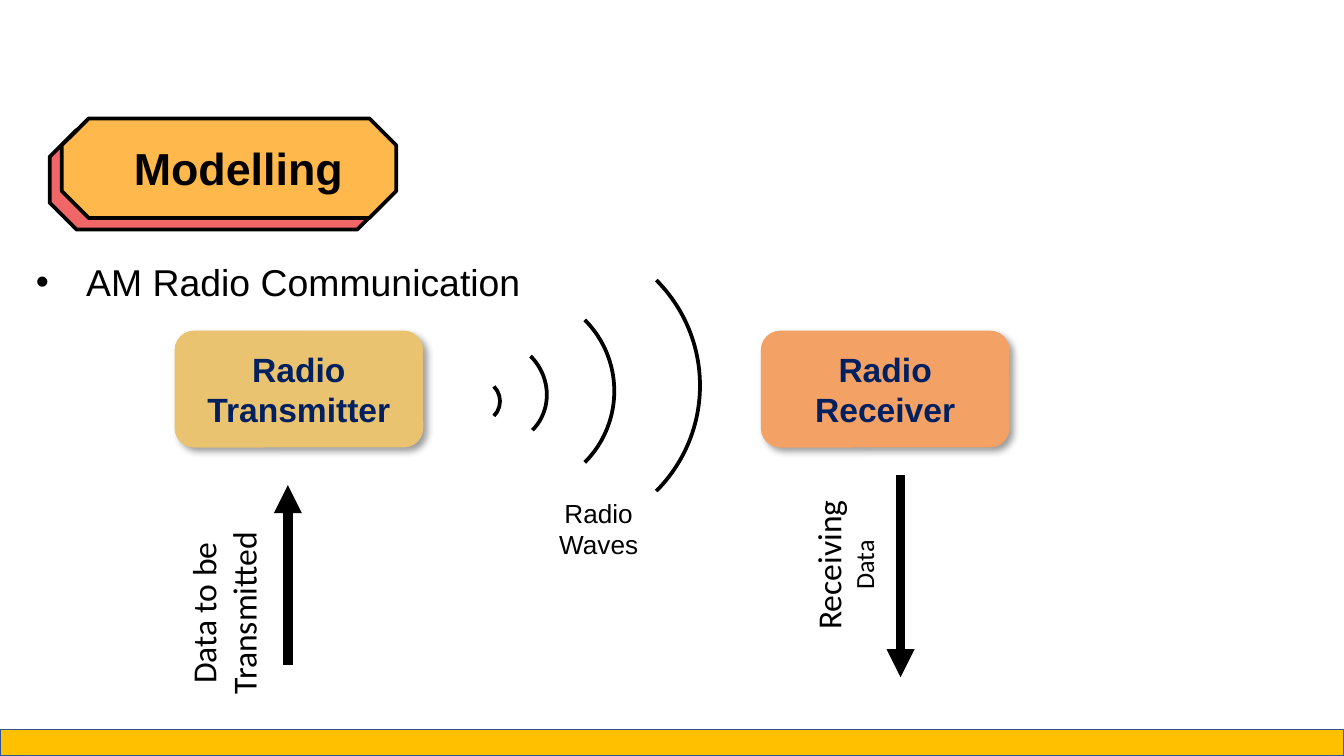
from dataclasses import dataclass

from lxml.etree import SubElement
from pptx import Presentation
from pptx.dml.color import RGBColor
from pptx.enum.shapes import MSO_CONNECTOR as Connector, MSO_SHAPE as Preset
from pptx.enum.text import MSO_ANCHOR as Anchor, MSO_AUTO_SIZE as AutoSize, PP_ALIGN as Align
from pptx.oxml.ns import qn
from pptx.shapes.autoshape import Shape
from pptx.slide import Slide
from pptx.text.text import TextFrame
from pptx.util import Cm, Pt

BLACK = "000000"
NAVY = "002060"


@dataclass(frozen=True)
class Box:
    """A place on the slide, in centimetres."""
    left: float
    top: float
    width: float
    height: float

    def lengths(self) -> tuple[Cm, Cm, Cm, Cm]:
        return Cm(self.left), Cm(self.top), Cm(self.width), Cm(self.height)


@dataclass(frozen=True)
class Line:
    text: str
    size: float
    font: str = "Arial"
    color: str = BLACK
    bold: bool = False
    align: Align = Align.CENTER


@dataclass(frozen=True)
class Station:
    left: float
    fill: str
    lines: tuple[str, ...]


@dataclass(frozen=True)
class DataArrow:
    x: float
    start: float
    end: float
    label: Box
    lines: tuple[Line, ...]


STATIONS = (
    Station(3.3, "E9C370", ("Radio Transmitter",)),
    Station(14.38, "F3A165", ("Radio", "Receiver")),
)
WAVES = (
    Box(7.59, 4.47, 5.64, 5.64),
    Box(7.8, 5.49, 3.81, 3.81),
    Box(8.33, 6.45, 2.03, 1.93),
    Box(8.66, 7.19, 0.79, 0.79),
)
DATA_ARROWS = (
    DataArrow(5.44, 12.57, 9.17, Box(3.33, 9.09, 2.06, 5),
              (Line("Data to be", 18, "Calibri"), Line("Transmitted", 18, "Calibri"))),
    DataArrow(17.02, 8.97, 12.8, Box(15.14, 8.38, 1.88, 4.6),
              (Line("Receiving", 18, "Calibri"), Line("Data", 14, "Calibri"))),
)
# Back plate first, then the front one
BADGE_PLATES = (
    (Box(0.94, 2.46, 6.32, 1.88), "F16767"),
    (Box(1.17, 2.24, 6.32, 1.88), "FFB84C"),
)


def rgb(color: str) -> RGBColor:
    return RGBColor.from_string(color)


def write_lines(frame: TextFrame, *lines: Line) -> None:
    frame.word_wrap = True
    for index, line in enumerate(lines):
        paragraph = frame.add_paragraph() if index else frame.paragraphs[0]
        paragraph.text = line.text
        paragraph.alignment = line.align
        paragraph.font.name = line.font
        paragraph.font.size = Pt(line.size)
        paragraph.font.bold = line.bold
        paragraph.font.color.rgb = rgb(line.color)


def add_text(slide: Slide, box: Box, *lines: Line) -> TextFrame:
    frame = slide.shapes.add_textbox(*box.lengths()).text_frame
    write_lines(frame, *lines)
    frame.auto_size = AutoSize.SHAPE_TO_FIT_TEXT
    return frame


def add_shape(slide: Slide, preset: Preset, box: Box, fill: str | None = None,
              line: str | None = None, line_width: float = 2) -> Shape:
    shape = slide.shapes.add_shape(preset, *box.lengths())
    shape.shadow.inherit = False
    if fill:
        shape.fill.solid()
        shape.fill.fore_color.rgb = rgb(fill)
    else:
        shape.fill.background()
    if line:
        shape.line.color.rgb = rgb(line)
        shape.line.width = Pt(line_width)
    else:
        shape.line.fill.background()
    return shape


def add_shadow(shape: Shape) -> None:
    effects = shape._element.spPr.find(qn("a:effectLst"))
    shadow = SubElement(effects, qn("a:outerShdw"), blurRad=str(Pt(4)), dist=str(Pt(3)),
                        dir=str(45 * 60000), algn="tl", rotWithShape="0")
    color = SubElement(shadow, qn("a:srgbClr"), val=BLACK)
    SubElement(color, qn("a:alpha"), val="40000")


def add_station(slide: Slide, station: Station) -> None:
    shape = add_shape(slide, Preset.ROUNDED_RECTANGLE, Box(station.left, 6.25, 4.7, 2.21), station.fill)
    add_shadow(shape)
    shape.text_frame.vertical_anchor = Anchor.MIDDLE
    write_lines(shape.text_frame, *(Line(text, 18, color=NAVY, bold=True) for text in station.lines))


def add_arrow(slide: Slide, arrow: DataArrow) -> None:
    connector = slide.shapes.add_connector(
        Connector.STRAIGHT, Cm(arrow.x), Cm(arrow.start), Cm(arrow.x), Cm(arrow.end))
    connector.line.color.rgb = rgb(BLACK)
    connector.line.width = Pt(5)
    SubElement(connector.line._get_or_add_ln(), qn("a:tailEnd"), type="triangle")
    SubElement(connector._element.spPr, qn("a:effectLst"))


def add_vertical_label(slide: Slide, arrow: DataArrow) -> None:
    frame = add_text(slide, arrow.label, *arrow.lines)
    frame._txBody.bodyPr.set("vert", "vert270")


def add_bullet_text(slide: Slide, box: Box, line: Line) -> None:
    frame = slide.shapes.add_textbox(*box.lengths()).text_frame
    properties = frame.paragraphs[0]._p.get_or_add_pPr()
    properties.set("marL", str(Cm(0.95)))
    properties.set("indent", str(-Cm(0.95)))
    bullet_color = SubElement(properties, qn("a:buClr"))
    SubElement(bullet_color, qn("a:srgbClr"), val=line.color)
    SubElement(properties, qn("a:buFont"), typeface="Arial")
    SubElement(properties, qn("a:buChar"), char="•")
    write_lines(frame, line)
    frame.auto_size = AutoSize.SHAPE_TO_FIT_TEXT


def add_badge(slide: Slide, title: str) -> None:
    for box, fill in BADGE_PLATES:
        plate = add_shape(slide, Preset.SNIP_2_DIAG_RECTANGLE, box, fill, BLACK)
        plate.adjustments[0] = 0.27
        plate.adjustments[1] = 0.27
        plate._element.spPr.get_or_add_xfrm().set("flipH", "1")
    frame = slide.shapes.add_textbox(*Box(1.57, 2.67, 5.87, 1.04).lengths()).text_frame
    frame.margin_left = frame.margin_right = Cm(0.18)
    frame.margin_top = frame.margin_bottom = Cm(0.1)
    write_lines(frame, Line(title, 24, bold=True))
    frame.paragraphs[0].line_spacing = 0.9


def main() -> None:
    presentation = Presentation()
    presentation.slide_width = Cm(25.4)
    presentation.slide_height = Cm(14.29)
    slide = presentation.slides.add_slide(presentation.slide_layouts[6])

    # Footer bar
    add_shape(slide, Preset.RECTANGLE, Box(0, 13.79, 25.4, 0.5), "FFC000", "31538F", 1)

    # Transmitter and receiver
    for station in STATIONS:
        add_station(slide, station)

    # Radio waves
    for box in WAVES:
        add_shape(slide, Preset.ARC, box, line=BLACK).rotation = 45
    add_text(slide, Box(9.65, 9.27, 3.33, 1.45), Line("Radio Waves", 14))

    # Data going in and out
    for arrow in DATA_ARROWS:
        add_arrow(slide, arrow)
        add_vertical_label(slide, arrow)

    # Topic and title
    add_bullet_text(slide, Box(0.43, 4.78, 15.14, 1.12),
                    Line("AM Radio Communication", 20, align=Align.LEFT))
    add_badge(slide, "Modelling")

    presentation.save("out.pptx")


if __name__ == "__main__":
    main()
